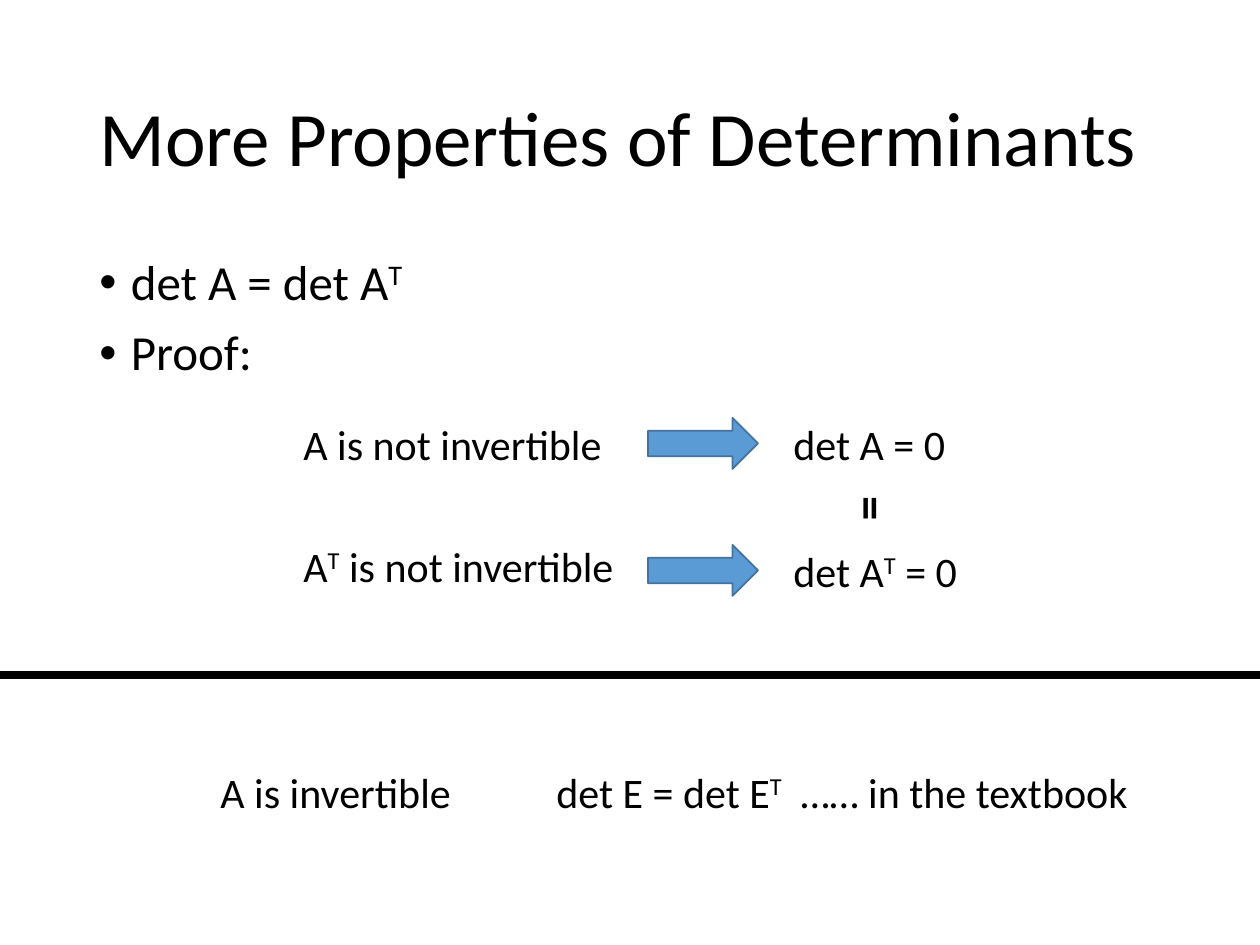
from dataclasses import dataclass

from lxml import etree
from pptx import Presentation, util as u
from pptx.dml.color import RGBColor
from pptx.enum import shapes, text
from pptx.oxml import ns

PIXEL = 914400 // 126
WIDTH, HEIGHT = 1260, 945


@dataclass(frozen=True)
class Theme:
    font: str = "Calibri"
    ink: str = "000000"
    arrow: str = "5B9BD5"
    arrow_line: str = "43739E"
    title: int = 44
    body: int = 28
    label: int = 24


THEME = Theme()


def px(*lengths):
    return [u.Emu(length * PIXEL) for length in lengths]


def color(value):
    return RGBColor.from_string(value)


def apply(target, values):
    for name, value in values.items():
        setattr(target, name, value)


def fill_paragraph(paragraph, wording, size, bold=False):
    """Write the wording; parts between carets are superscript."""
    for index, part in enumerate(wording.split("^")):
        run = paragraph.add_run()
        run.text = part
        apply(run.font, dict(name=THEME.font, size=u.Pt(size), bold=bold))
        run.font.color.rgb = color(THEME.ink)
        if index % 2:
            run.font._element.set("baseline", "30000")


def add_text(slide, box, lines, size, bold=False, anchor=text.MSO_ANCHOR.TOP, **layout):
    shape = slide.shapes.add_textbox(*px(*box))
    frame = shape.text_frame
    apply(frame, dict(word_wrap=True, vertical_anchor=anchor))
    for index, line in enumerate(lines):
        paragraph = frame.add_paragraph() if index else frame.paragraphs[0]
        apply(paragraph, layout)
        fill_paragraph(paragraph, line, size, bold)
    return shape


def add_bullet(paragraph):
    properties = paragraph._p.get_or_add_pPr()
    indent = u.Inches(0.25)
    properties.set("marL", str(indent))
    properties.set("indent", str(-indent))
    etree.SubElement(properties, ns.qn("a:buFont")).set("typeface", "Arial")
    etree.SubElement(properties, ns.qn("a:buChar")).set("char", "•")


def add_arrow(slide, box):
    arrow = slide.shapes.add_shape(shapes.MSO_SHAPE.RIGHT_ARROW, *px(*box))
    arrow.shadow.inherit = False
    arrow.fill.solid()
    arrow.fill.fore_color.rgb = color(THEME.arrow)
    arrow.line.color.rgb = color(THEME.arrow_line)
    arrow.line.width = u.Pt(1)


def heading(slide, left, top, width):
    add_text(slide, (left, top, width, 183), ["More Properties of Determinants"],
             THEME.title, anchor=text.MSO_ANCHOR.MIDDLE, line_spacing=0.9)


def statement(slide, left, top, width):
    body = add_text(slide, (left, top, width, 150), ["det A = det A^T", "Proof:"],
                    THEME.body, line_spacing=0.9, space_before=u.Pt(10))
    for paragraph in body.text_frame.paragraphs:
        add_bullet(paragraph)


def singular_case(slide, left, top):
    # Each row: premise, its offset, conclusion, its offset
    rows = [("A is not invertible", 0, "det A = 0", 0),
            ("A^T^ is not invertible", 122, "det A^T^ = 0", 127)]
    for premise, premise_top, conclusion, row_top in rows:
        add_text(slide, (left, top + premise_top, 336, 63), [premise], THEME.label)
        add_arrow(slide, (left + 357, top + row_top + 6, 110, 51))
        add_text(slide, (left + 490, top + row_top, 354, 63), [conclusion], THEME.label)
    # Upright equals sign joining the two conclusions
    equals = add_text(slide, (left + 525, top + 61, 115, 72), ["="], THEME.body,
                      bold=True, alignment=text.PP_ALIGN.CENTER)
    equals.rotation = 90


def divider(slide, top):
    line = slide.shapes.add_connector(shapes.MSO_CONNECTOR.STRAIGHT,
                                      *px(0, top, WIDTH, top))
    line.line.color.rgb = color(THEME.ink)
    line.line.width = u.Pt(4.5)
    etree.SubElement(line._element.spPr, ns.qn("a:effectLst"))


def invertible_case(slide, left, top):
    add_text(slide, (left, top, 336, 63), ["A is invertible"], THEME.label)
    add_text(slide, (left + 336, top, 604, 63),
             ["det E = det E^T^  …… in the textbook"], THEME.label)


def main():
    presentation = Presentation()
    presentation.slide_width, presentation.slide_height = px(WIDTH, HEIGHT)
    slide = presentation.slides.add_slide(presentation.slide_layouts[6])
    heading(slide, 87, 50, 1086)
    statement(slide, 87, 252, 1086)
    singular_case(slide, 291, 412)
    divider(slide, 675)
    invertible_case(slide, 208, 760)
    presentation.save("out.pptx")


main()
